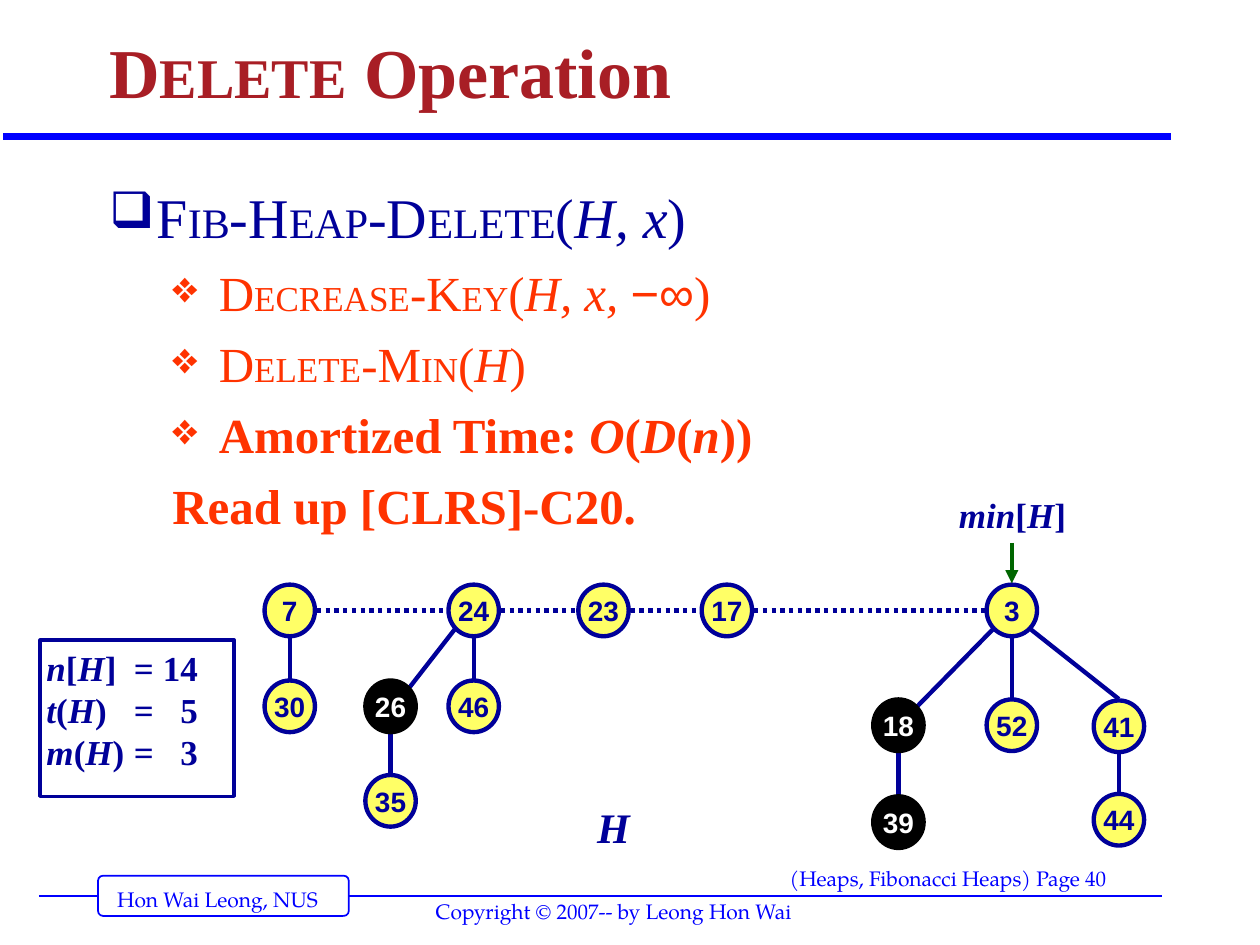
from math import hypot

from lxml import etree
from pptx import Presentation
from pptx import util as u
from pptx.dml.color import RGBColor
from pptx.enum import dml, shapes, text
from pptx.oxml.ns import qn

NAVY, BLUE, RED, FIRE = "000099", "0000FF", "A81E25", "FF3300"
GOLD, BLACK, WHITE, GREEN = "FFFF66", "000000", "FFFFFF", "006600"
SERIF, SANS, FOOT = "Times New Roman", "Arial", "TeX Gyre Pagella"


def hue(code):
    return RGBColor.from_string(code)


def sub(top, tag, **attrs):
    return etree.SubElement(top, qn(tag), attrs)


class Page:
    """Draws styled elements on one slide, with lengths in points."""

    radius = 15.5

    def __init__(self, slide):
        self.slide = slide

    def line(self, start, end, color=NAVY, width=2.5, dots=False, arrow=False):
        ends = [u.Pt(v) for v in (*start, *end)]
        link = self.slide.shapes.add_connector(shapes.MSO_CONNECTOR.STRAIGHT, *ends)
        link.line.color.rgb = hue(color)
        link.line.width = u.Pt(width)
        if dots:
            link.line.dash_style = dml.MSO_LINE.ROUND_DOT
        if arrow:
            sub(link.line._get_or_add_ln(), "a:tailEnd", type="triangle")
        sub(link._element.spPr, "a:effectLst")

    def shape(self, kind, box, fill, color, width):
        item = self.slide.shapes.add_shape(kind, *map(u.Pt, box))
        item.shadow.inherit = False
        if fill:
            item.fill.solid()
            item.fill.fore_color.rgb = hue(fill)
        else:
            item.fill.background()
        item.line.color.rgb = hue(color)
        item.line.width = u.Pt(width)
        return item

    def frame(self, item, side=7.2, anchor=text.MSO_ANCHOR.TOP, wrap=True):
        frame = item.text_frame
        frame.word_wrap = wrap
        frame.vertical_anchor = anchor
        frame.margin_left = frame.margin_right = u.Pt(side)
        frame.margin_top = frame.margin_bottom = u.Pt(3.6)
        return frame

    def box(self, box, **style):
        return self.frame(self.slide.shapes.add_textbox(*map(u.Pt, box)), **style)

    def para(self, frame, words, size, color=NAVY, face=SERIF, bold=False,
             small=None, align=text.PP_ALIGN.LEFT):
        """Adds a paragraph of runs split by |: ~ small, / italic, @ sans."""
        fresh = not frame.paragraphs[0].runs
        para = frame.paragraphs[0] if fresh else frame.add_paragraph()
        para.alignment = align
        font = para.font
        font.name, font.size, font.bold = face, u.Pt(size), bold
        font.color.rgb = hue(color)
        for part in words.split("|"):
            run = para.add_run()
            run.text = part.lstrip("~/@")
            if part.startswith("~"):
                run.font.size = u.Pt(small)
            elif part.startswith("/"):
                run.font.italic = True
            elif part.startswith("@"):
                run.font.name = SANS
        return para

    def indent(self, para, left, first, mark=None, color=NAVY):
        props = para._p.get_or_add_pPr()
        props.set("marL", str(u.Pt(left)))
        props.set("indent", str(u.Pt(first)))
        if mark:
            bits = [etree.Element(qn(tag)) for tag in ("a:buClr", "a:buSzPct", "a:buChar")]
            sub(bits[0], "a:srgbClr", val=color)
            bits[1].set("val", "90000")
            bits[2].set("char", mark)
            for bit in bits:
                props.find(qn("a:defRPr")).addprevious(bit)

    def tabs(self, para, stops):
        stop = etree.Element(qn("a:tabLst"))
        for pos, side in stops:
            sub(stop, "a:tab", pos=str(u.Pt(pos)), algn=side)
        para._p.pPr.find(qn("a:defRPr")).addprevious(stop)

    def node(self, key, spot, dark):
        wide, high = 28.8, 29.5
        fill, edge, ink = (BLACK, BLACK, WHITE) if dark else (GOLD, NAVY, NAVY)
        box = (spot[0] - wide / 2, spot[1] - high / 2, wide, high)
        item = self.shape(shapes.MSO_SHAPE.OVAL, box, fill, edge, 2.5)
        frame = self.frame(item, anchor=text.MSO_ANCHOR.MIDDLE, wrap=False)
        self.para(frame, str(key), 16, ink, SANS, True, align=text.PP_ALIGN.CENTER)

    def rim(self, spot, way):
        span = self.radius / hypot(*way)
        return [c + span * w for c, w in zip(spot, way)]

    def edge(self, start, leave, end, enter, dots=False):
        self.line(self.rim(start, leave), self.rim(end, enter), dots=dots)


def footer(page):
    page.line((22.3, 512), (664, 512), BLUE, 1)
    plate = page.shape(shapes.MSO_SHAPE.ROUNDED_RECTANGLE, (56, 500.4, 143.3, 23),
                       WHITE, BLUE, 1)
    plate.adjustments[0] = 0.125
    page.line((2, 77.8), (669, 77.8), BLUE, 4)
    for box, words in (
        ((59.8, 503.3, 134, 21.6), "Hon Wai Leong, NUS"),
        ((444.2, 491, 247.7, 23), "(Heaps, Fibonacci Heaps) Page 40"),
        ((241.9, 509.8, 226.8, 21.6), "Copyright © 2007-- by Leong Hon Wai"),
    ):
        page.para(page.box(box), words, 12, BLUE, FOOT)


def body(page):
    head = page.box((55.4, 5.8, 612, 62.6), anchor=text.MSO_ANCHOR.BOTTOM)
    page.para(head, "D|~ELETE| Operation", 40, RED, bold=True, small=32).line_spacing = 0.9
    frame = page.box((55.4, 100.8, 630, 212.4))
    first = page.para(frame, "F|~IB|-H|~EAP|-D|~ELETE|(|/H, x|)", 32, small=24)
    page.indent(first, 27, -27, "❑")
    for words, bold, mark in (
        ("D|~ECREASE|-K|~EY|(|/H, x, |@−∞|)", False, "❖"),
        ("D|~ELETE|-M|~IN|(|/H|)", False, "❖"),
        ("Amortized Time: |/O|(|/D|(|/n|))", True, "❖"),
        ("Read up [CLRS]-C20.", True, None),
    ):
        para = page.para(frame, words, 28, FIRE, bold=bold, small=20)
        para.space_before = u.Pt(7)
        page.indent(para, 62.6, -26.6, mark, FIRE)


def heap(page):
    roots, kids = 348.8, 403.6
    spots = {
        7: (165.6, roots), 24: (270.7, roots), 23: (344.9, roots),
        17: (415.4, roots), 3: (578.2, roots),
        30: (165.6, kids), 26: (223.2, kids), 46: (270.7, kids), 35: (223.2, 457.6),
        18: (513.4, 414.4), 52: (578.2, 414.4), 41: (639.4, 415),
        39: (513.4, 469.8), 44: (639.4, 468.4),
    }
    up, down, left, right = (0, -1), (0, 1), (-1, 0), (1, 0)
    row = (7, 24, 23, 17, 3)
    for a, b in zip(row, row[1:]):
        page.edge(spots[a], right, spots[b], left, dots=True)
    for a, b in ((7, 30), (24, 46), (26, 35), (3, 52), (18, 39), (41, 44)):
        page.edge(spots[a], down, spots[b], up)
    for a, b, leave, enter in (
        (24, 26, (-1, 1), (1, -1)), (3, 18, (-1, 1), (1, -1)), (3, 41, (1, 1), up),
    ):
        page.edge(spots[a], leave, spots[b], enter)
    for key, spot in spots.items():
        page.node(key, spot, key in (26, 18, 39))
    peak = spots[3]
    page.line((peak[0], 310.3), page.rim(peak, up), GREEN, arrow=True)
    page.para(page.box((540.7, 278.6, 75.6, 31.7), side=3.6), "/min|[|/H|]", 20,
              bold=True, align=text.PP_ALIGN.CENTER)
    page.para(page.box((334.1, 454.3, 40.3, 36)), "/H", 24, bold=True)


def stats(page):
    plate = page.shape(shapes.MSO_SHAPE.RECTANGLE, (23, 365.8, 110.9, 89.3), None, NAVY, 2)
    frame = page.frame(plate, side=3.6)
    for words in ("/n|[|/H|]\t=\t14", "/t|(|/H|)\t=\t5", "/m|(|/H|)\t=\t3"):
        para = page.para(frame, words, 20, bold=True)
        page.tabs(para, ((50, "l"), (86.5, "r")))


def main():
    deck = Presentation()
    deck.slide_width, deck.slide_height = u.Pt(720), u.Pt(540)
    page = Page(deck.slides.add_slide(deck.slide_layouts[6]))
    for part in (footer, body, heap, stats):
        part(page)
    deck.save("out.pptx")


if __name__ == "__main__":
    main()
